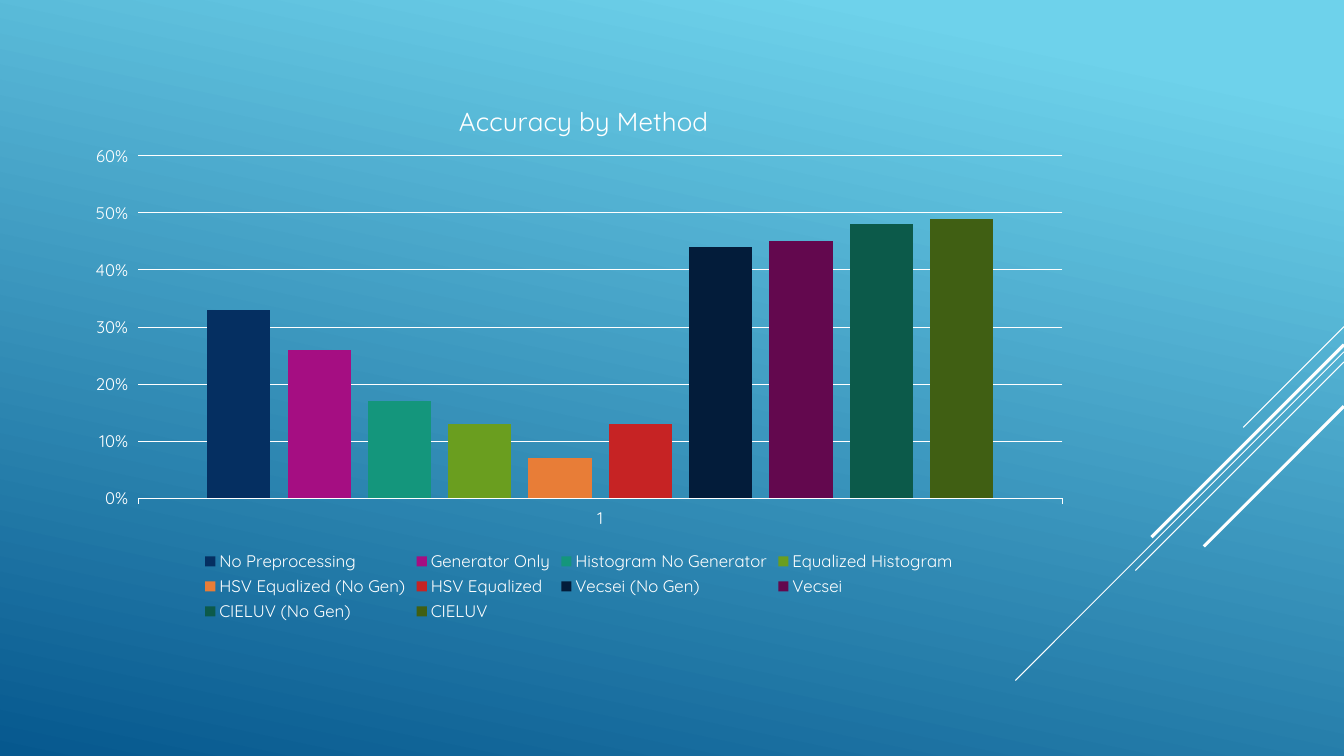
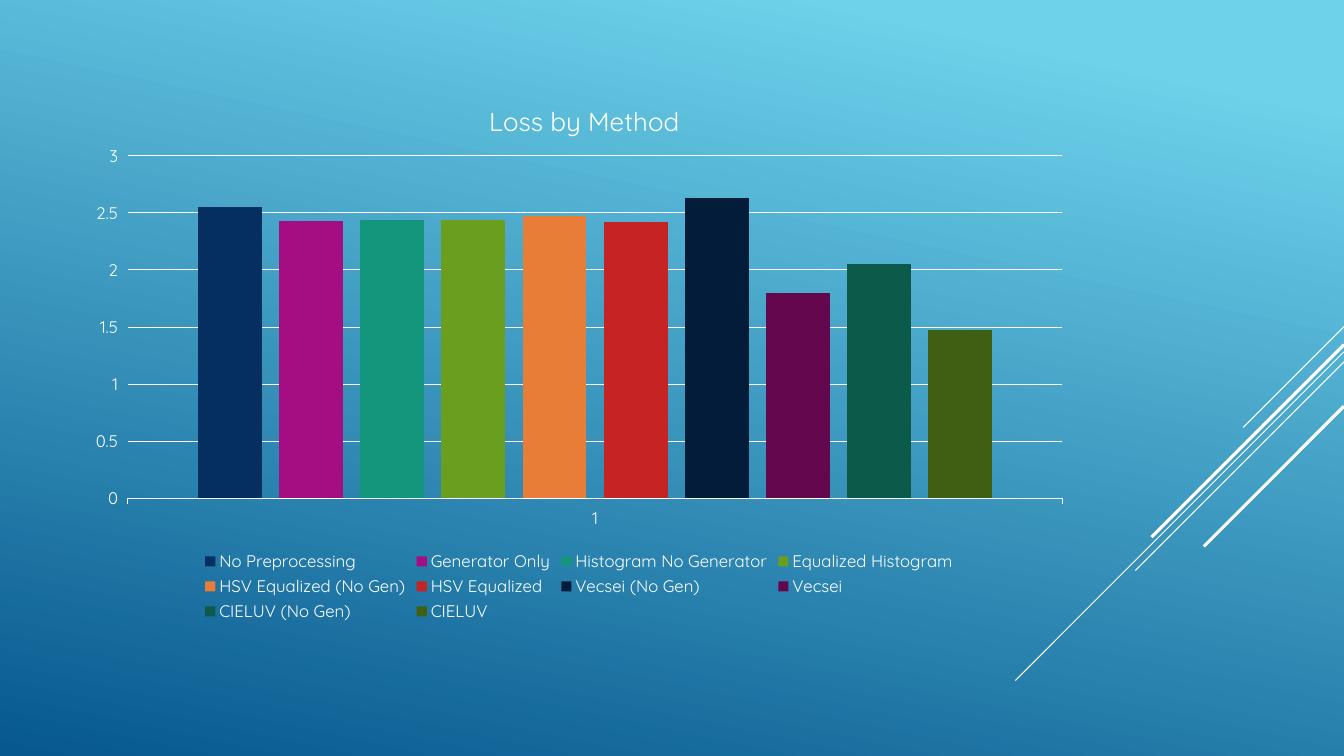
from dataclasses import dataclass

from lxml import etree
from pptx import Presentation
from pptx.chart.data import CategoryChartData
from pptx.dml.color import RGBColor
from pptx.enum.chart import XL_CHART_TYPE, XL_LEGEND_POSITION
from pptx.enum.shapes import MSO_CONNECTOR
from pptx.oxml.ns import qn
from pptx.util import Pt

COLUMNS = XL_CHART_TYPE.COLUMN_CLUSTERED
BOTTOM = XL_LEGEND_POSITION.BOTTOM
STRAIGHT = MSO_CONNECTOR.STRAIGHT


@dataclass(frozen=True)
class Theme:
    font: str = "Quicksand"
    white: str = "FFFFFF"
    gradient: tuple = ((0.1, "6ED2EB"), (1, "06588E"))
    gradient_angle: int = 258
    title_size: float = 18.6
    label_size: int = 12
    thin: float = 0.75
    thick: float = 2.25


THEME = Theme()
SLIDE_W, SLIDE_H = 960, 540
CHART_BOX = (54, 54, 719.3, 393.1)
PLOT_RIGHT, PLOT_TOP, PLOT_HEIGHT = 0.98, 0.146, 0.622
TITLE_TOP = 0.04

STREAKS = [
    (233.3, 72, THEME.thin),
    (251.3, 234.7, THEME.thin),
    (258.5, 149, THEME.thin),
    (246.2, 137.5, THEME.thick),
    (290.2, 100.1, THEME.thick),
]

METHODS = [
    ("No Preprocessing", "052F61"),
    ("Generator Only", "A50E82"),
    ("Histogram No Generator", "14967C"),
    ("Equalized Histogram", "6A9E1F"),
    ("HSV Equalized (No Gen)", "E87D37"),
    ("HSV Equalized", "C62324"),
    ("Vecsei (No Gen)", "031C3A"),
    ("Vecsei", "63084E"),
    ("CIELUV (No Gen)", "0C5A4A"),
    ("CIELUV", "405F13"),
]

CHARTS = [
    {
        "title": "Accuracy by Method",
        "title_left": 0.376,
        "plot_left": 0.062,
        "number_format": "0%",
        "scale": {"minimum_scale": 0, "maximum_scale": 0.6, "major_unit": 0.1},
        "values": [0.33, 0.26, 0.17, 0.13, 0.07, 0.13, 0.44, 0.45, 0.48, 0.49],
    },
    {
        "title": "Loss by Method",
        "title_left": 0.406,
        "plot_left": 0.052,
        "number_format": "General",
        "scale": {"minimum_scale": 0, "maximum_scale": 3, "major_unit": 0.5},
        "values": [2.55, 2.43, 2.44, 2.44, 2.47, 2.42, 2.63, 1.8, 2.05, 1.47],
    },
]


def rgb(value):
    return RGBColor.from_string(value)


def apply(target, values):
    for name, value in values.items():
        setattr(target, name, value)


def style_font(font, size):
    apply(font, {"name": THEME.font, "size": Pt(size), "bold": False})
    font.color.rgb = rgb(THEME.white)


def style_line(line, width):
    line.color.rgb = rgb(THEME.white)
    line.width = Pt(width)


def set_background(master):
    fill = master.background.fill
    fill.gradient()
    fill.gradient_angle = THEME.gradient_angle
    for stop, (position, color) in zip(fill.gradient_stops, THEME.gradient):
        stop.position = position
        stop.color.rgb = rgb(color)


def add_streaks(slide):
    group = slide.shapes.add_group_shape()
    for top, run, width in STREAKS:
        ends = (SLIDE_W, top, SLIDE_W - run, top + run)
        line = group.shapes.add_connector(STRAIGHT, *map(Pt, ends))
        style_line(line.line, width)
        etree.SubElement(line.element.spPr, qn("a:effectLst"))


def set_layout(parent, index, settings):
    for old in parent.findall(qn("c:layout")):
        parent.remove(old)
    layout = etree.Element(qn("c:layout"))
    manual = etree.SubElement(layout, qn("c:manualLayout"))
    for tag, value in settings.items():
        etree.SubElement(manual, qn(f"c:{tag}")).set("val", str(value))
    parent.insert(index, layout)


def style_title(chart, text, left):
    chart.has_title = True
    title = chart.chart_title
    r = title.text_frame.paragraphs[0].add_run()
    r.text = text
    style_font(r.font, THEME.title_size)
    edges = {"xMode": "edge", "yMode": "edge", "x": left, "y": TITLE_TOP}
    set_layout(title.element, 1, edges)


def style_axes(chart, number_format, scale):
    category, value = chart.category_axis, chart.value_axis
    for axis in (category, value):
        style_font(axis.tick_labels.font, THEME.label_size)
    style_line(category.format.line, THEME.thin)
    value.format.line.fill.background()
    style_line(value.major_gridlines.format.line, THEME.thin)
    apply(value.tick_labels, {"number_format": number_format,
                              "number_format_is_linked": False})
    apply(value, scale)


def style_legend(chart):
    chart.has_legend = True
    apply(chart.legend, {"position": BOTTOM, "include_in_layout": False})
    style_font(chart.legend.font, THEME.label_size)


def add_column_chart(slide, content):
    data = CategoryChartData(number_format=content["number_format"])
    data.categories = ["1"]
    for (name, _), value in zip(METHODS, content["values"]):
        data.add_series(name, [value])
    chart = slide.shapes.add_chart(COLUMNS, *map(Pt, CHART_BOX), data).chart
    style_font(chart.font, 10)
    style_title(chart, content["title"], content["title_left"])
    style_axes(chart, content["number_format"], content["scale"])
    style_legend(chart)

    plot = chart.plots[0]
    apply(plot, {"gap_width": 219, "overlap": -27, "vary_by_categories": False})
    for series, (_, color) in zip(plot.series, METHODS):
        series.format.fill.solid()
        series.format.fill.fore_color.rgb = rgb(color)

    left = content["plot_left"]
    set_layout(chart.element.find(".//" + qn("c:plotArea")), 0, {
        "layoutTarget": "inner", "xMode": "edge", "yMode": "edge",
        "x": left, "y": PLOT_TOP,
        "w": round(PLOT_RIGHT - left, 3), "h": PLOT_HEIGHT,
    })


def main():
    prs = Presentation()
    apply(prs, {"slide_width": Pt(SLIDE_W), "slide_height": Pt(SLIDE_H)})
    set_background(prs.slide_master)
    for content in CHARTS:
        slide = prs.slides.add_slide(prs.slide_layouts[6])
        add_streaks(slide)
        add_column_chart(slide, content)
    prs.save("out.pptx")


if __name__ == "__main__":
    main()
